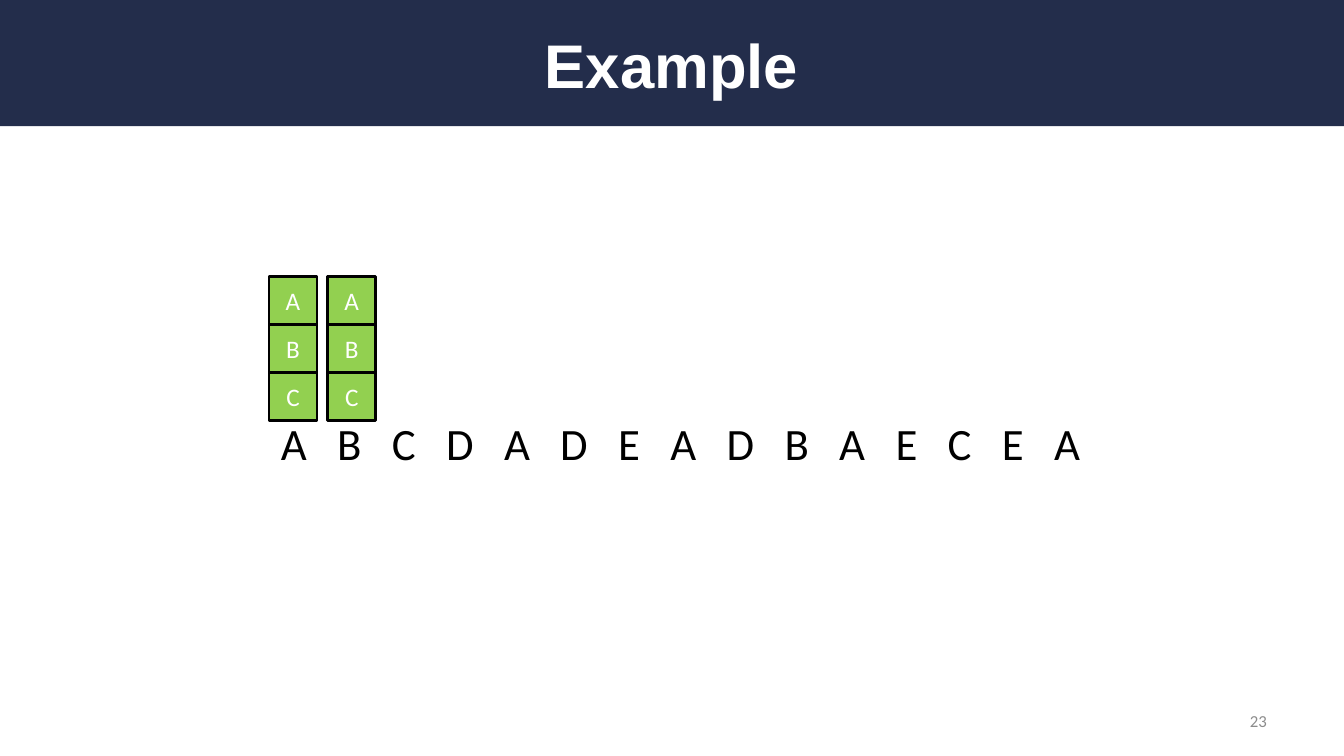
from pptx import Presentation
from pptx.dml.color import RGBColor
from pptx.enum import shapes, text
from pptx.util import Cm, Pt


def color(value):
    return RGBColor.from_string(value)


def write(box, words, align, anchor, hue, **font):
    """Put one formatted paragraph into a shape and return its run."""
    frame = box.text_frame
    frame.word_wrap = True
    frame.vertical_anchor = anchor
    para = frame.paragraphs[0]
    para.alignment = align
    span = para.add_run()
    span.text = words
    for name, value in {"name": "Calibri", **font}.items():
        setattr(span.font, name, value)
    span.font.color.rgb = color(hue)
    return span


deck = Presentation()
deck.slide_width, deck.slide_height = Cm(33.87), Cm(19.05)
page = deck.slides.add_slide(deck.slide_layouts[6])
align, anchor = text.PP_ALIGN, text.MSO_ANCHOR
rectangle = shapes.MSO_SHAPE.RECTANGLE

banner = page.shapes.add_shape(rectangle, 0, 0, deck.slide_width, Cm(3.18))
banner.shadow.inherit = False
banner.fill.solid()
banner.fill.fore_color.rgb = color("232D4B")
banner.line.fill.background()

title = page.shapes.add_textbox(Cm(1.69), Cm(0.43), Cm(30.48), Cm(2.34))
write(title, "Example", align.CENTER, anchor.MIDDLE, "FFFFFF",
      name="Arial", size=Pt(44), bold=True)

number = page.shapes.add_textbox(Cm(24.28), Cm(17.65), Cm(7.9), Cm(1.02))
write(number, "23", align.RIGHT, anchor.MIDDLE, "8C8C8C", size=Pt(12))

requests = page.shapes.add_textbox(Cm(6.83), Cm(10.36), Cm(20.9), Cm(1.62))
requests.text_frame.margin_right = 0
letters = write(requests, " ".join("ABCDADEADBAECEA"), align.LEFT, anchor.TOP,
                "000000", size=Pt(32))
# Letter spacing, in hundredths of a point, spreads the sequence out
letters.font._element.set("spc", "723")

# Cache contents after each of the first two requests
cell_size = Cm(1.21)
for left in (Cm(8.26), Cm(6.78)):
    cache = page.shapes.add_group_shape()
    for row, item in enumerate("ABC"):
        cell = cache.shapes.add_shape(
            rectangle, left, Cm(6.96) + row * cell_size, cell_size, cell_size)
        cell.shadow.inherit = False
        cell.fill.solid()
        cell.fill.fore_color.rgb = color("92D050")
        cell.line.color.rgb = color("000000")
        cell.line.width = Pt(2)
        write(cell, item, align.CENTER, anchor.MIDDLE, "FFFFFF", size=Pt(18))

deck.save("out.pptx")
